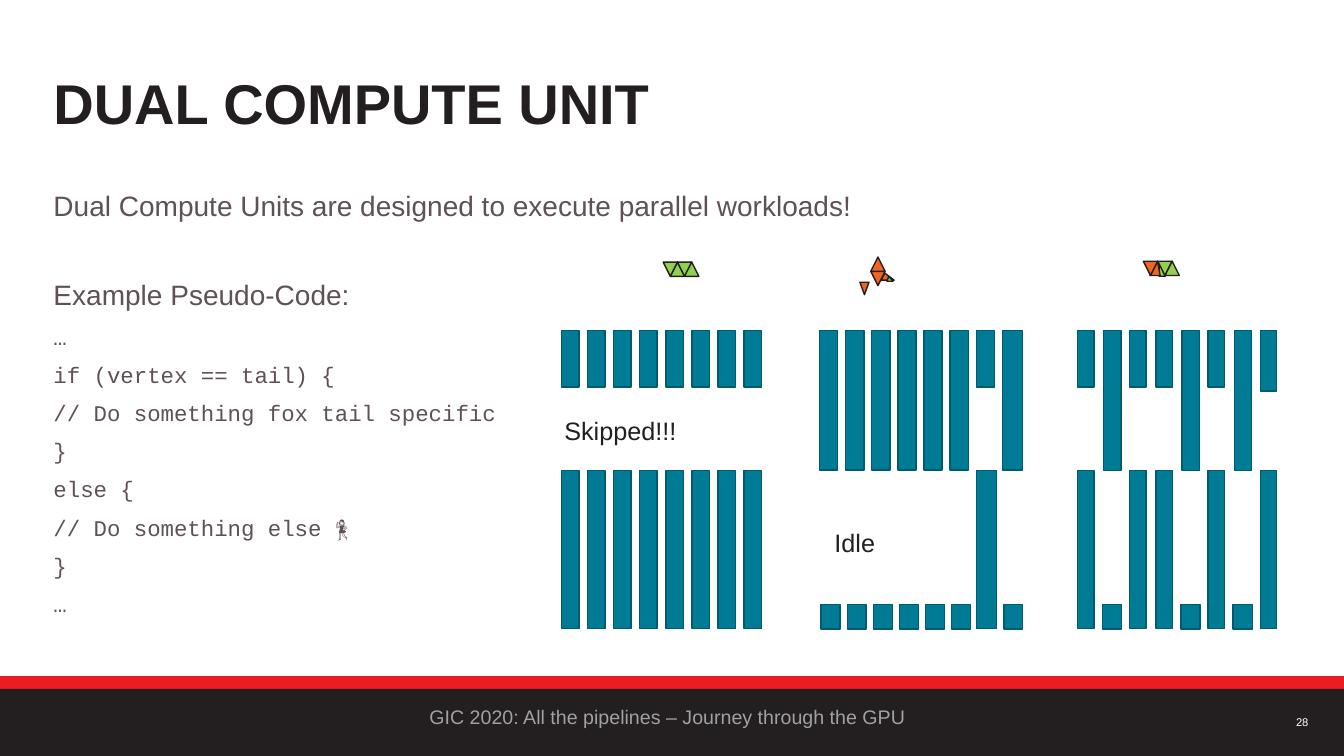
from lxml import etree
from pptx import Presentation
from pptx.dml.color import RGBColor
from pptx.enum.shapes import MSO_SHAPE
from pptx.enum.text import MSO_ANCHOR, MSO_AUTO_SIZE, PP_ALIGN
from pptx.oxml.ns import qn
from pptx.util import Pt

RECT, TRI = MSO_SHAPE.RECTANGLE, MSO_SHAPE.ISOSCELES_TRIANGLE
TOP, MID = MSO_ANCHOR.TOP, MSO_ANCHOR.MIDDLE
LEFT, MIDDLE = PP_ALIGN.LEFT, PP_ALIGN.CENTER
FIXED = MSO_AUTO_SIZE.NONE
SANS, MONO = "Arial", "Courier New"
INK = {"red": "ED1C24", "dark": "231E1F", "gray": "A0A1A4", "white": "FFFFFF",
       "body": "5F5154", "teal": "007B96", "edge": "005B6F",
       "green": "92D050", "orange": "F16521"}

CODE = ["…", "if (vertex == tail) {", "// Do something fox tail specific", "}",
        "else {", "// Do something else 💃", "}", "…"]
LINES = [("Dual Compute Units are designed to execute parallel workloads!", 20, SANS, 0),
         ("Example Pseudo-Code:", 20, SANS, 42)]
LINES += [(line, 16, MONO, 10) for line in CODE]

STEP = 18.65
HIGH, LOW, BASE = 236.2, 336.2, 432
BARS = [
    (401, "ssssssss", {"s": (0, HIGH, 12.5, 40.3)}),
    (401, "tttttttt", {"t": (0, LOW, 12.5, 113)}),
    (585.4, "ttttttsw", {"t": (0, HIGH, 13, 99.5), "s": (0, HIGH, 13, 40.3),
                         "w": (0, HIGH, 14.5, 99.5)}),
    (586.6, "ssssssts", {"s": (0, BASE, 13.5, 17.3), "t": (-0.8, LOW, 14.2, 113)}),
    (769.7, "stsststm", {"s": (0, HIGH, 11.7, 40.3), "t": (0, HIGH, 12.5, 100),
                         "m": (0, HIGH, 11.7, 43)}),
    (769.7, "tsttstst", {"t": (0, LOW, 11.7, 113), "s": (-0.8, BASE, 13.7, 17.3)}),
]

SIDE = 10.2
TRIS = [
    (478.8, 187.2, SIDE, SIDE, 0, "green", 0.5),
    (483.9, 187.2, SIDE, SIDE, 180, "green", 0.5),
    (489, 187.2, SIDE, SIDE, 0, "green", 0.5),
    (473.7, 187.2, SIDE, SIDE, 180, "green", 0.5),
    (828, 187.9, 4.3, 9.4, 0, "green", 0),
    (821.5, 186.6, 7.2, SIDE, 0, "orange", 0.75),
    (827, 186.6, SIDE, SIDE, 180, "green", 0.5),
    (832.2, 186.6, SIDE, SIDE, 0, "green", 0.5),
    (816.7, 186.6, SIDE, SIDE, 180, "orange", 0.5),
    (629.3, 195.1, 9.4, 5, 0, "orange", 0.29),
    (622, 193.8, SIDE, SIDE, 180, "orange", 0.5),
    (622, 183.6, SIDE, SIDE, 0, "orange", 0.5),
    (614.2, 201.6, 6.5, 8.9, 180, "orange", 0.5),
    (633.6, 197.3, 4.3, 3.6, 0, "green", 0.29),
]


class Deck:
    """Hold the style and the current slide."""

    def __init__(self, wide, high):
        self.prs = Presentation()
        self.prs.slide_width, self.prs.slide_height = Pt(wide), Pt(high)
        self.slide = self.prs.slides.add_slide(self.prs.slide_layouts[1])

    def tint(self, name):
        return RGBColor.from_string(INK[name])

    def shape(self, kind, box, fill, line=None, turn=0):
        item = self.slide.shapes.add_shape(kind, *map(Pt, box))
        item.shadow.inherit = False
        item.fill.solid()
        item.fill.fore_color.rgb = self.tint(fill)
        if line:
            item.line.color.rgb = self.tint(line)
            item.line.width = Pt(1)
        else:
            item.line.fill.background()
        item.rotation = turn
        return item

    def run(self, para, text, size, color, font=SANS, bold=False):
        run = para.add_run()
        run.text = text
        run.font.size, run.font.name, run.font.bold = Pt(size), font, bold
        run.font.color.rgb = self.tint(color)

    def label(self, box, text, size, color, align=LEFT, anchor=TOP, pad=7.2):
        frame = self.slide.shapes.add_textbox(*map(Pt, box)).text_frame
        frame.word_wrap, frame.vertical_anchor = False, anchor
        frame.margin_left = frame.margin_right = Pt(pad)
        para = frame.paragraphs[0]
        para.alignment = align
        self.run(para, text, size, color)

    def holder(self, index, box, anchor):
        item = self.slide.placeholders[index]
        item.left, item.top, item.width, item.height = map(Pt, box)
        frame = item.text_frame
        frame.auto_size, frame.word_wrap = FIXED, True
        frame.vertical_anchor = anchor
        return frame

    def title(self, box, text):
        para = self.holder(0, box, MID).paragraphs[0]
        para.alignment, para.line_spacing = LEFT, 0.9
        self.run(para, text, 40, "dark", bold=True)

    def body(self, box, lines):
        frame = self.holder(1, box, TOP)
        for i, (text, size, font, gap) in enumerate(lines):
            para = frame.add_paragraph() if i else frame.paragraphs[0]
            props = para._p.get_or_add_pPr()
            props.set("marL", "0")
            props.set("indent", "0")
            etree.SubElement(props, qn("a:buNone"))
            para.line_spacing, para.space_before = 0.9, Pt(gap)
            self.run(para, text, size, "body", font)

    def bars(self, left, plan, kinds):
        for i, key in enumerate(plan):
            shift, top, wide, high = kinds[key]
            self.shape(RECT, (left + i * STEP + shift, top, wide, high), "teal", "edge")

    def tri(self, x, y, wide, high, turn, fill, peak):
        item = self.shape(TRI, (x, y, wide, high), fill, "dark", turn)
        item.adjustments[0] = peak


def main():
    deck = Deck(960, 540)
    deck.shape(RECT, (0, 483, 960, 57), "red")
    deck.shape(RECT, (0, 492, 960, 48), "dark")
    deck.label((306.7, 499.7, 346.3, 24), "GIC 2020: All the pipelines – Journey through the GPU",
               14, "gray", anchor=MID, pad=0)
    deck.label((916.5, 507.6, 27.4, 16), "28", 8, "white", MIDDLE, MID)
    deck.title((31, 35.3, 898.6, 82), "DUAL COMPUTE UNIT")
    deck.body((31, 134, 898.6, 322), LINES)
    for row in BARS:
        deck.bars(*row)
    for part in TRIS:
        deck.tri(*part)
    deck.label((396, 293, 95, 29), "Skipped!!!", 18, "dark")
    deck.label((589, 373, 44, 29), "Idle", 18, "dark")
    deck.prs.save("out.pptx")


if __name__ == "__main__":
    main()
